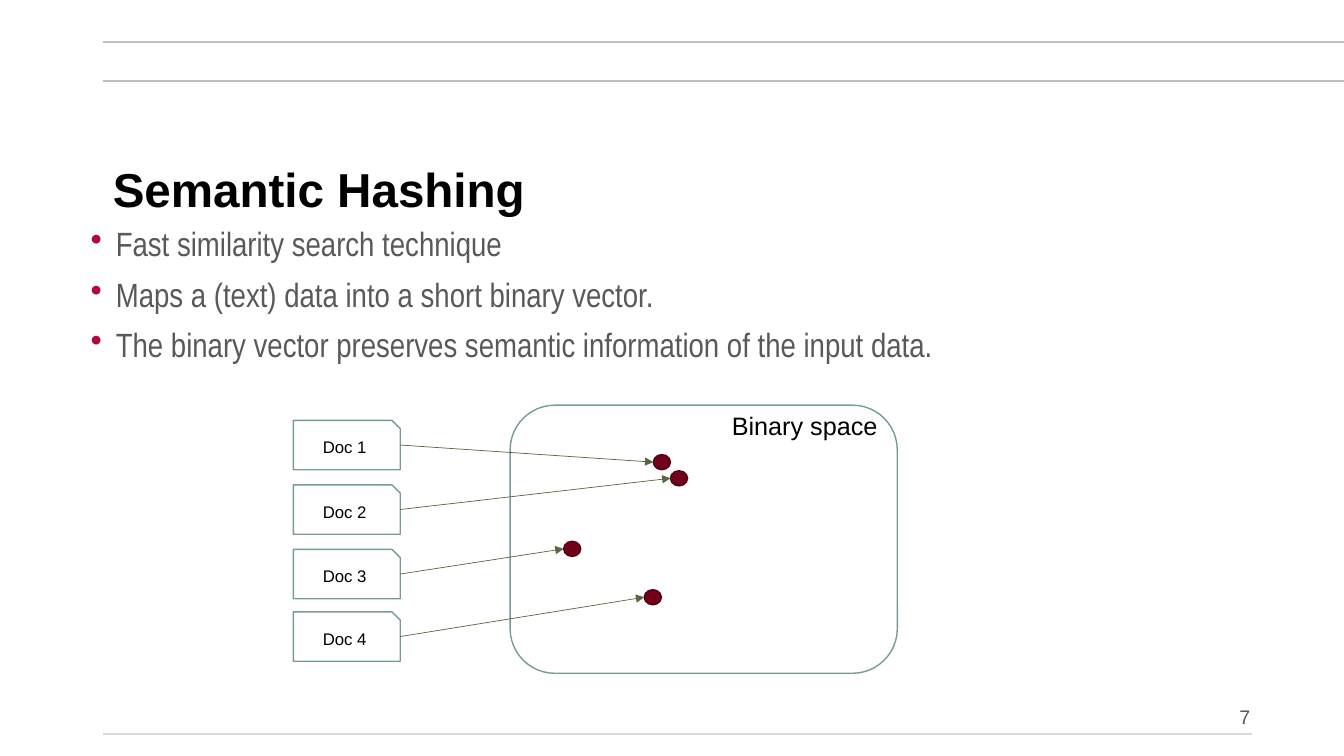
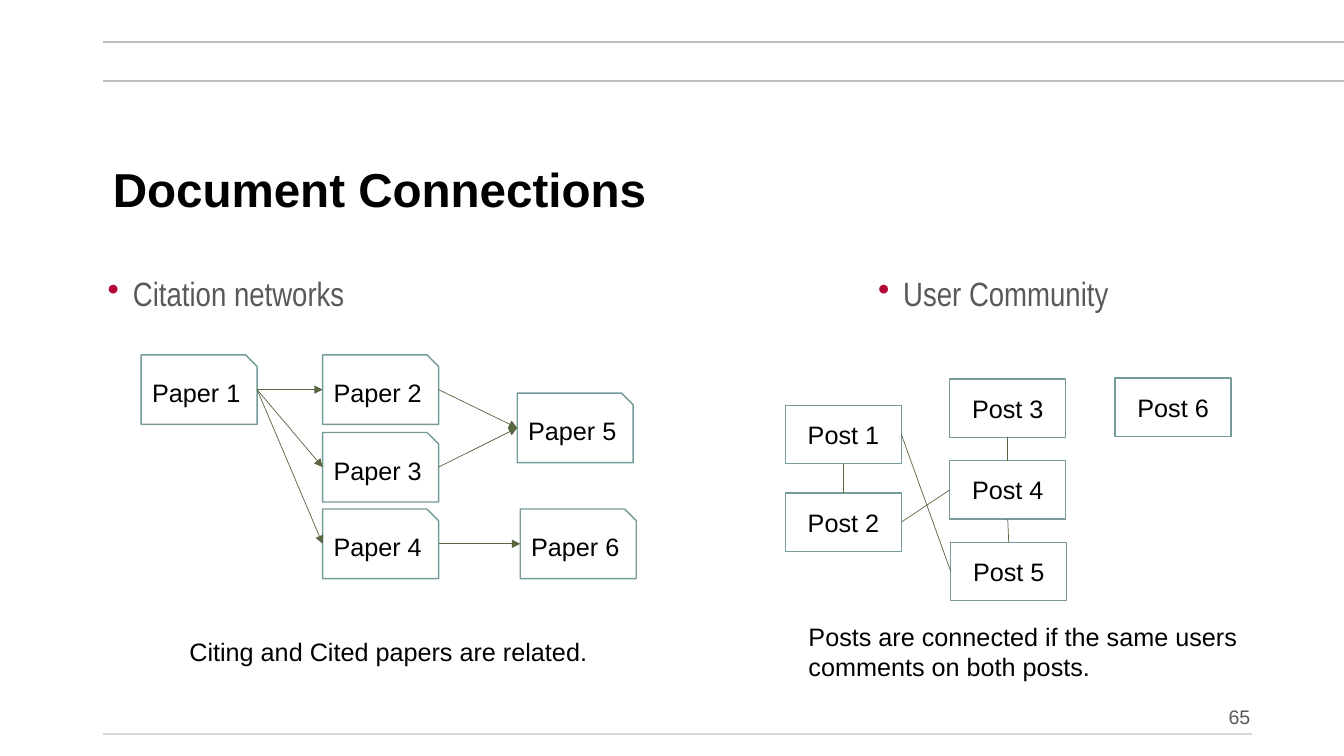
"""Build two slides on semantic hashing and document connections."""
from dataclasses import dataclass
from typing import Any

from lxml.etree import SubElement as Sub
from pptx import Presentation
from pptx.dml.color import RGBColor as RGB
from pptx.enum.shapes import MSO_CONNECTOR as Conn, MSO_SHAPE as Kind
from pptx.enum.text import MSO_ANCHOR as Anchor, PP_ALIGN as Align
from pptx.oxml.ns import qn
from pptx.util import Inches, Pt

BLACK = RGB(0x00, 0x00, 0x00)
WHITE = RGB(0xFF, 0xFF, 0xFF)
GREY = RGB(0x59, 0x59, 0x59)
RULE = RGB(0xBF, 0xBF, 0xBF)
PALE = RGB(0xD9, 0xD9, 0xD9)
RED = RGB(0xB3, 0x07, 0x38)
TEAL = RGB(0x75, 0x9C, 0x9A)
OLIVE = RGB(0x59, 0x66, 0x41)
WINE = RGB(0x71, 0x00, 0x1B)
DARK = RGB(0x54, 0x00, 0x14)


@dataclass(frozen=True)
class Look:
    """Text style: font values, paragraph values, colour and layout."""
    font: dict[str, Any]
    para: dict[str, Any]
    color: RGB = BLACK
    gap: int = 0
    bullet: bool = False
    anchor: Any = Anchor.TOP
    wrap: bool = True


TITLE = Look({"name": "Arial", "size": Pt(34), "bold": True},
             {"line_spacing": 0.9}, anchor=Anchor.MIDDLE)
BODY = Look({"name": "Arial Narrow", "size": Pt(24)},
            {"line_spacing": 0.9}, GREY, gap=10, bullet=True)
PAGE = Look({"name": "Arial", "size": Pt(14)},
            {"line_spacing": 0.9, "alignment": Align.RIGHT}, GREY, anchor=Anchor.BOTTOM)
NOTE = Look({"name": "Arial", "size": Pt(18)}, {}, wrap=False)
LABEL = Look({"name": "Arial", "size": Pt(18)},
             {"alignment": Align.CENTER}, anchor=Anchor.MIDDLE)
SMALL = Look({"name": "Arial", "size": Pt(12)},
             {"alignment": Align.CENTER}, anchor=Anchor.MIDDLE)


@dataclass(frozen=True)
class Style:
    """Shape style shared by a set of nodes."""
    kind: Any
    wide: float
    high: float
    fill: RGB = WHITE
    edge: RGB = TEAL
    look: Look = LABEL


DOC = Style(Kind.SNIP_1_RECTANGLE, 1.06, 0.49, look=SMALL)
SPACE = Style(Kind.ROUNDED_RECTANGLE, 3.84, 2.66)
DOT = Style(Kind.OVAL, 0.17, 0.15, WINE, DARK)
PAPER = Style(Kind.SNIP_1_RECTANGLE, 1.15, 0.69)
POST = Style(Kind.RECTANGLE, 1.15, 0.58)

SIDES = {"l": (0, 0.5), "r": (1, 0.5), "t": (0.5, 0), "b": (0.5, 1)}


@dataclass(frozen=True)
class Node:
    """A shape at a place, with an optional label."""
    style: Style
    x: float
    y: float
    text: str = ""

    def at(self, side: str) -> tuple[float, float]:
        """Return the middle of one side."""
        across, down = SIDES[side]
        return self.x + across * self.style.wide, self.y + down * self.style.high


def assign(item: Any, values: dict[str, Any]) -> None:
    """Set each named value on an object."""
    for key, value in values.items():
        setattr(item, key, value)


def mark(para: Any) -> None:
    """Give a paragraph a red hanging bullet."""
    props = para._p.get_or_add_pPr()
    props.set("marL", str(Inches(0.25)))
    props.set("indent", str(Inches(-0.25)))
    Sub(Sub(props, qn("a:buClr")), qn("a:srgbClr")).set("val", str(RED))
    Sub(props, qn("a:buChar")).set("char", "•")


def write(frame: Any, lines: tuple[str, ...], look: Look) -> None:
    """Fill a text frame with styled paragraphs."""
    assign(frame, {"word_wrap": look.wrap, "vertical_anchor": look.anchor})
    for i, line in enumerate(lines):
        para = frame.add_paragraph() if i else frame.paragraphs[0]
        if look.bullet:
            mark(para)
        assign(para, {**look.para, "space_before": Pt(look.gap if i else 0)})
        run = para.add_run()
        run.text = line
        assign(run.font, look.font)
        run.font.color.rgb = look.color


def text(slide: Any, x: float, y: float, wide: float, high: float,
         look: Look, *lines: str) -> None:
    """Add a text box."""
    box = slide.shapes.add_textbox(Inches(x), Inches(y), Inches(wide), Inches(high))
    write(box.text_frame, lines, look)


def line(slide: Any, start: tuple[float, float], end: tuple[float, float],
         color: RGB = OLIVE, width: float = 0.5, arrow: bool = False) -> None:
    """Add a straight line, with an arrowhead if asked."""
    points = [Inches(value) for value in (*start, *end)]
    conn = slide.shapes.add_connector(Conn.STRAIGHT, *points)
    conn.line.color.rgb = color
    conn.line.width = Pt(width)
    props = conn.element.spPr
    if arrow:
        Sub(props.find(qn("a:ln")), qn("a:tailEnd")).set("type", "triangle")
    Sub(props, qn("a:effectLst"))


def draw(slide: Any, *nodes: Node) -> None:
    """Draw nodes in order."""
    for node in nodes:
        style = node.style
        shape = slide.shapes.add_shape(style.kind, Inches(node.x), Inches(node.y),
                                       Inches(style.wide), Inches(style.high))
        shape.shadow.inherit = False
        shape.fill.solid()
        shape.fill.fore_color.rgb = style.fill
        shape.line.color.rgb = style.edge
        shape.line.width = Pt(1)
        if node.text:
            assign(shape.text_frame, {"margin_left": Inches(0.05), "margin_right": Inches(0.05)})
            write(shape.text_frame, (node.text,), style.look)


def start(deck: Any, title: str, page: str) -> Any:
    """Add a slide with rules, title and page number."""
    slide = deck.slides.add_slide(deck.slide_layouts[6])
    for y, right, color in ((0.8, 13.33, RULE), (0.42, 13.33, RULE), (7.28, 12.42, PALE)):
        line(slide, (1.02, y), (right, y), color, 1.5)
    text(slide, 1.02, 1.28, 11.39, 1.25, TITLE, title)
    text(slide, 8.26, 6.84, 4.24, 0.44, PAGE, page)
    return slide


def hashing(deck: Any) -> None:
    """Build the semantic hashing slide."""
    slide = start(deck, "Semantic Hashing", "7")
    text(slide, 0.8, 2.21, 11.39, 1.64, BODY,
         "Fast similarity search technique",
         "Maps a (text) data into a short binary vector.",
         "The binary vector preserves semantic information of the input data.")
    docs = [Node(DOC, 2.91, y, f"Doc {i}")
            for i, y in enumerate((4.17, 4.81, 5.45, 6.07), 1)]
    dots = [Node(DOT, x, y)
            for x, y in ((6.48, 4.51), (6.65, 4.67), (5.59, 5.37), (6.39, 5.85))]
    draw(slide, *docs, Node(SPACE, 5.06, 4.02), *dots)
    text(slide, 7.16, 4.02, 1.66, 0.4, NOTE, "Binary space")
    for doc, dot in zip(docs, dots):
        line(slide, doc.at("r"), dot.at("l"), arrow=True)


def network(slide: Any, name: str, style: Style, spots: tuple[tuple[float, float], ...],
            links: tuple[tuple[int, str, int, str], ...], arrow: bool) -> None:
    """Draw numbered nodes and the links between their sides."""
    nodes = {i: Node(style, x, y, f"{name} {i}") for i, (x, y) in enumerate(spots, 1)}
    draw(slide, *nodes.values())
    for head, out, tail, into in links:
        line(slide, nodes[head].at(out), nodes[tail].at(into), arrow=arrow)


def connections(deck: Any) -> None:
    """Build the document connections slide."""
    slide = start(deck, "Document Connections", "65")
    for x, topic in ((0.97, "Citation networks"), (8.61, "User Community")):
        text(slide, x, 2.7, 3.68, 0.54, BODY, topic)
    cites = ((1, 2), (1, 3), (1, 4), (2, 5), (3, 5), (4, 6))
    network(slide, "Paper", PAPER,
            ((1.4, 3.52), (3.2, 3.52), (3.2, 4.29), (3.2, 5.05), (5.13, 3.9), (5.16, 5.05)),
            tuple((a, "r", b, "l") for a, b in cites), True)
    network(slide, "Post", POST,
            ((7.79, 4.02), (7.79, 4.89), (9.42, 3.76), (9.42, 4.57), (9.43, 5.38), (11.06, 3.75)),
            ((1, "b", 2, "t"), (3, "b", 4, "t"), (4, "b", 5, "t"),
             (1, "r", 5, "l"), (4, "l", 2, "r")), False)
    text(slide, 1.78, 6.26, 4.26, 0.4, NOTE, "Citing and Cited papers are related.")
    text(slide, 7.92, 6.11, 4.49, 0.71, NOTE,
         "Posts are connected if the same users", "comments on both posts.")


def main() -> None:
    """Build and save the deck."""
    deck = Presentation()
    assign(deck, {"slide_width": Inches(13.33), "slide_height": Inches(7.5)})
    hashing(deck)
    connections(deck)
    deck.save("out.pptx")


if __name__ == "__main__":
    main()
